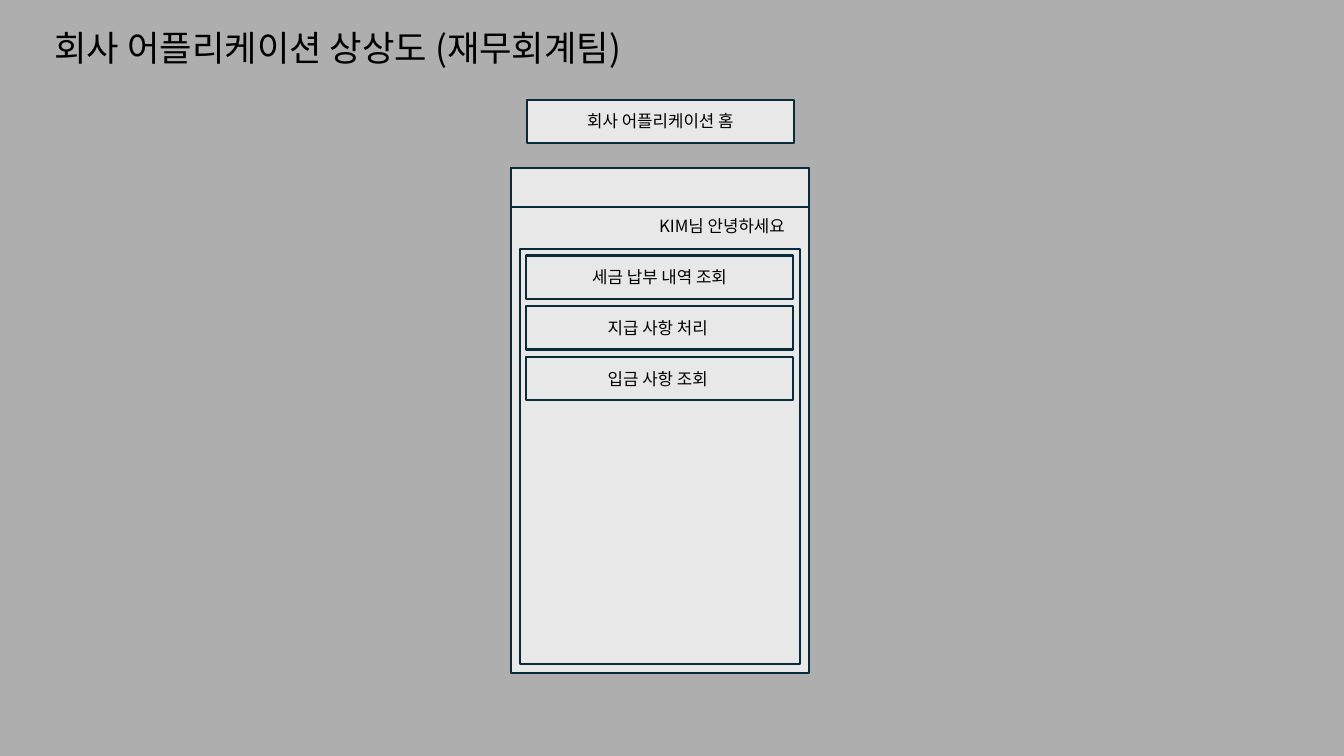
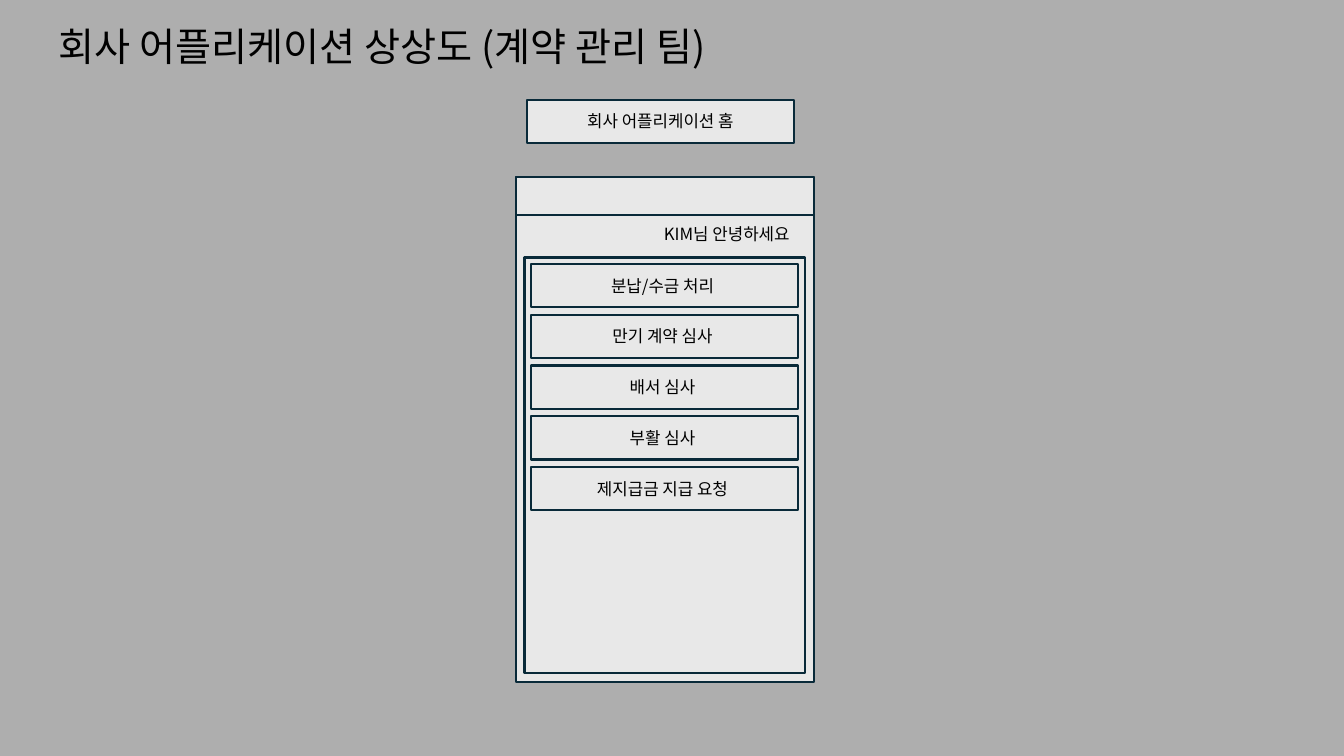
from dataclasses import dataclass

from lxml.etree import SubElement
from pptx import Presentation
from pptx.dml.color import RGBColor
from pptx.enum.shapes import MSO_SHAPE
from pptx.enum.text import MSO_ANCHOR, PP_ALIGN
from pptx.oxml.ns import qn
from pptx.util import Cm, Pt


@dataclass(frozen=True)
class Theme:
    font: str = "Noto Sans CJK KR"
    background: RGBColor = RGBColor(0xAE, 0xAE, 0xAE)
    panel: RGBColor = RGBColor(0xE8, 0xE8, 0xE8)
    outline: RGBColor = RGBColor(0x09, 0x2A, 0x39)
    text: RGBColor = RGBColor(0, 0, 0)
    outline_width: float = 1.5
    body_size: float = 12


THEME = Theme()
BUTTON_W, BUTTON_H = 6.73, 1.09
BUTTON_PITCH = 1.28
PHONE_W, PHONE_H = 7.52, 12.73


def write(sp, text, size=THEME.body_size, align=PP_ALIGN.CENTER, anchor=MSO_ANCHOR.MIDDLE):
    tf = sp.text_frame
    tf.word_wrap = True
    tf.vertical_anchor = anchor
    p = tf.paragraphs[0]
    p.text = text
    p.alignment = align
    p.font.name = THEME.font
    p.font.size = Pt(size)
    p.font.color.rgb = THEME.text
    # Hangul takes its typeface from the East Asian font slot.
    SubElement(p._p.pPr.find(qn("a:defRPr")), qn("a:ea"), typeface=THEME.font)
    return p


def add_panel(shapes, x, y, w, h):
    sp = shapes.add_shape(MSO_SHAPE.RECTANGLE, Cm(x), Cm(y), Cm(w), Cm(h))
    sp.shadow.inherit = False
    sp.fill.solid()
    sp.fill.fore_color.rgb = THEME.panel
    sp.line.color.rgb = THEME.outline
    sp.line.width = Pt(THEME.outline_width)
    return sp


def add_button(s, x, y, label):
    write(add_panel(s.shapes, x, y, BUTTON_W, BUTTON_H), label)


def add_title(s, text, width, size):
    sp = s.shapes.add_textbox(Cm(0.36), Cm(0.33), Cm(width), Cm(1.55))
    p = write(sp, text, size, anchor=MSO_ANCHOR.BOTTOM)
    p.line_spacing = 0.9


def add_phone(s, x, y, labels):
    """Place a phone screen at (x, y) with a greeting and a menu of buttons."""
    frame = s.shapes.add_group_shape()
    add_panel(frame.shapes, x, y, PHONE_W, PHONE_H)
    add_panel(frame.shapes, x, y, PHONE_W, 0.97)
    add_panel(s.shapes, x + 0.22, y + 2.04, 7.06, 10.46)
    greeting = s.shapes.add_textbox(Cm(x + 3.48), Cm(y + 1.07), Cm(4.09), Cm(0.76))
    write(greeting, "KIM님 안녕하세요", align=PP_ALIGN.LEFT, anchor=MSO_ANCHOR.TOP)
    for i, label in enumerate(labels):
        add_button(s, x + 0.38, y + 2.2 + i * BUTTON_PITCH, label)


def add_team_slide(prs, title, title_width, title_size, phone_at, labels):
    s = prs.slides.add_slide(prs.slide_layouts[6])
    s.background.fill.solid()
    s.background.fill.fore_color.rgb = THEME.background
    add_title(s, title, title_width, title_size)
    add_button(s, 13.28, 2.51, "회사 어플리케이션 홈")
    add_phone(s, *phone_at, labels)


def main():
    prs = Presentation()
    prs.slide_width, prs.slide_height = Cm(33.87), Cm(19.05)
    add_team_slide(
        prs, "회사 어플리케이션 상상도 (재무회계팀)", 16.31, 25.2, (12.88, 4.24),
        ["세금 납부 내역 조회", "지급 사항 처리 ", "입금 사항 조회 "],
    )
    add_team_slide(
        prs, "회사 어플리케이션 상상도 (계약 관리 팀)", 18.54, 28, (13, 4.45),
        ["분납/수금 처리 ", "만기 계약 심사 ", "배서 심사 ", "부활 심사 ", "제지급금 지급 요청 "],
    )
    prs.save("out.pptx")


if __name__ == "__main__":
    main()
